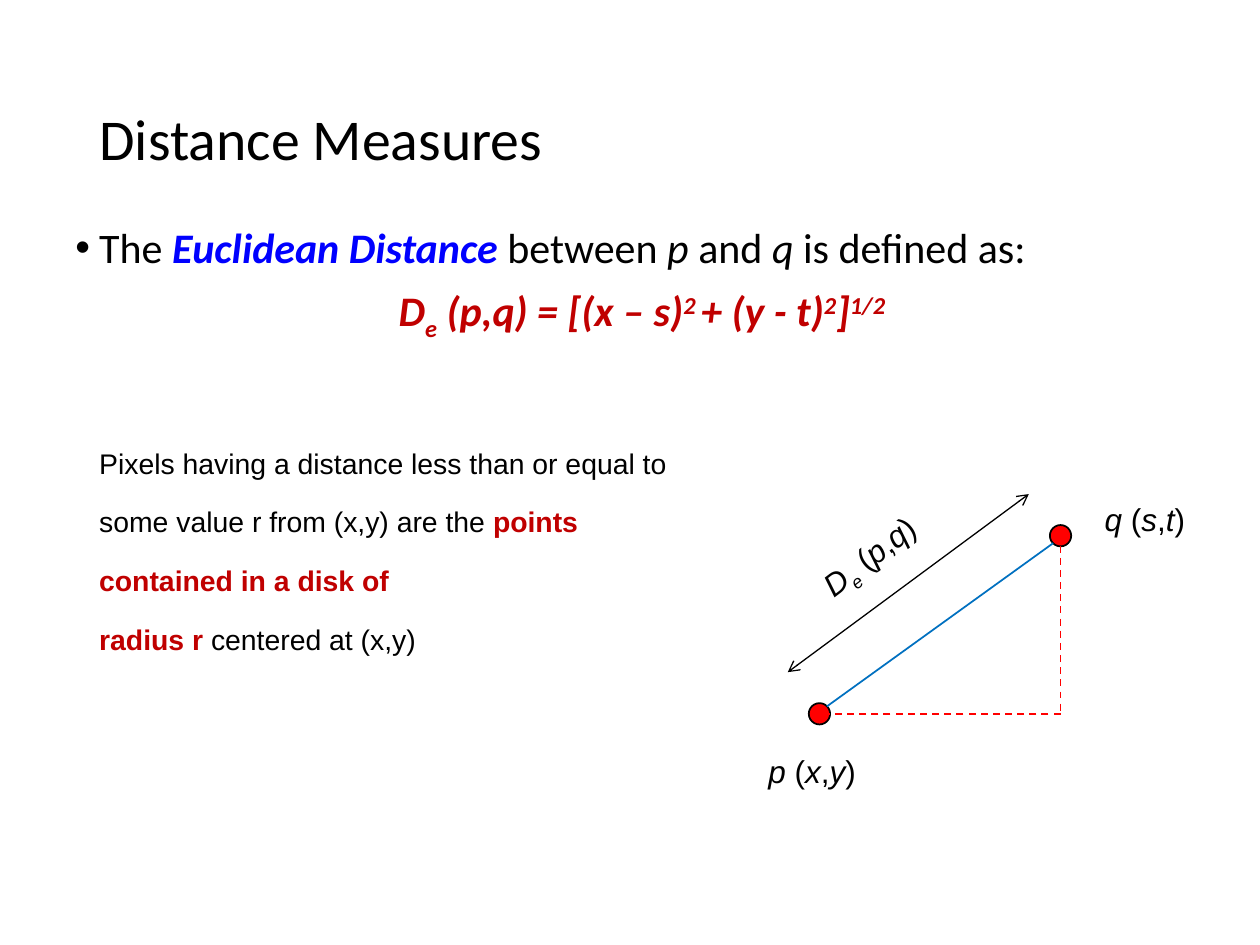
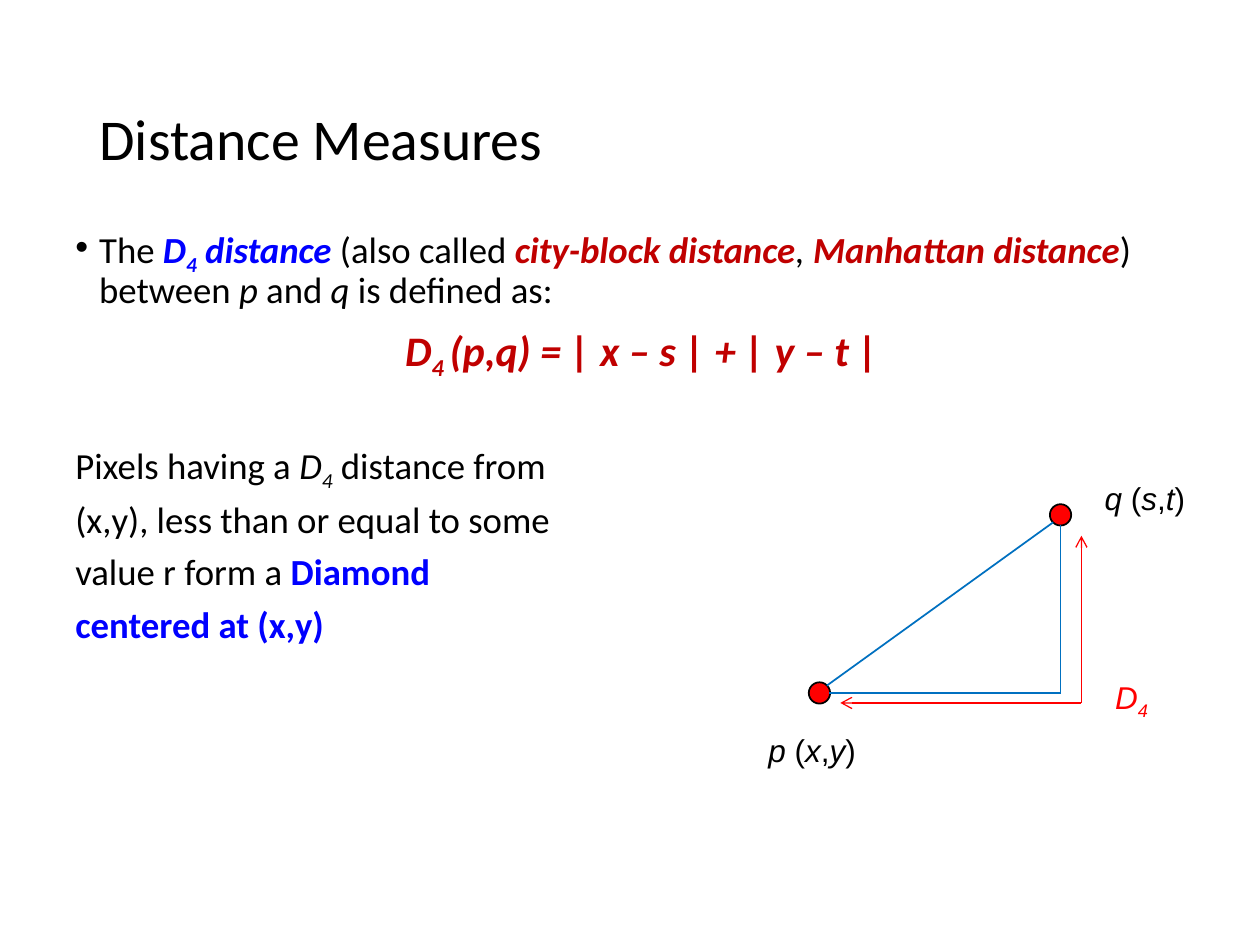
from dataclasses import dataclass

from lxml.etree import SubElement
from pptx import Presentation
from pptx.dml.color import RGBColor as Rgb
from pptx.enum.dml import MSO_LINE_DASH_STYLE as Dash
from pptx.enum.shapes import MSO_CONNECTOR as Connector, MSO_SHAPE as Shape
from pptx.enum.text import MSO_ANCHOR as Anchor, PP_ALIGN as Align
from pptx.oxml.ns import qn
from pptx.util import Cm, Pt


@dataclass(frozen=True)
class Theme:
    black: Rgb = Rgb(0x00, 0x00, 0x00)
    blue: Rgb = Rgb(0x00, 0x00, 0xFF)
    crimson: Rgb = Rgb(0xC0, 0x00, 0x00)
    red: Rgb = Rgb(0xFF, 0x00, 0x00)
    edge: Rgb = Rgb(0x00, 0x70, 0xC0)
    heading_font: str = "Calibri"
    label_font: str = "Arial"
    title_size: float = 33
    lead_size: float = 24
    body_size: float = 21
    label_size: float = 18
    remark_size: float = 28
    line_spacing: float = 0.9
    paragraph_gap: float = 7.5
    section_gap: float = 38
    hanging: float = 0.48


THEME = Theme()
BASELINES = {"_": "-25000", "^": "30000"}

# Pixel positions in cm: x is shared, q's y is set per slide
P_X, Q_X, RISE = 16.52, 21.38, 3.59
DOT = 0.43
LABEL_WIDTH, LABEL_HEIGHT = 2.74, 1.02


# Text: a run is (text, flags, colour); flags are b, i, _ (sub) and ^ (super)
def add_runs(paragraph, runs, size, font):
    for text, flags, colour in runs:
        run = paragraph.add_run()
        run.text = text
        run.font.size = Pt(size)
        run.font.name = font
        run.font.bold = "b" in flags
        run.font.italic = "i" in flags
        run.font.color.rgb = colour
        for mark, baseline in BASELINES.items():
            if mark in flags:
                run._r.get_or_add_rPr().set("baseline", baseline)


def plain(text):
    return text, "", THEME.black


def italic(text, colour=THEME.black):
    return text, "i", colour


def strong(text, colour, mark=""):
    return text, "bi" + mark, colour


def point_name(name, first, second):
    return [italic(name), plain(" ("), italic(first), plain(","),
            italic(second), plain(")")]


def add_text(slide, left, top, width, height):
    box = slide.shapes.add_textbox(Cm(left), Cm(top), Cm(width), Cm(height))
    box.text_frame.word_wrap = True
    return box


def add_label(slide, left, top, runs, width=LABEL_WIDTH):
    label = add_text(slide, left, top, width, LABEL_HEIGHT)
    add_runs(label.text_frame.paragraphs[0], runs,
             THEME.label_size, THEME.label_font)
    return label


def indent(paragraph, first_line, bullet=False):
    properties = paragraph._p.get_or_add_pPr()
    properties.set("marL", str(Cm(THEME.hanging)))
    properties.set("indent", str(Cm(first_line)))
    if bullet:
        SubElement(properties, qn("a:buFont")).set("typeface", "Arial")
        SubElement(properties, qn("a:buChar")).set("char", "•")


def add_definition(slide, statement, formula, size, remarks=()):
    """Bulleted statement, centred formula, then plain remark lines."""
    frame = add_text(slide, 1.27, 4.45, 22.86, 13.13).text_frame
    lines = [(statement, size), (formula, THEME.lead_size)]
    lines += [(remark, size) for remark in remarks]
    for number, (runs, line_size) in enumerate(lines):
        paragraph = frame.add_paragraph() if number else frame.paragraphs[0]
        paragraph.line_spacing = THEME.line_spacing
        if number:
            gap = THEME.section_gap if number == 2 else THEME.paragraph_gap
            paragraph.space_before = Pt(gap)
        if number == 0:
            indent(paragraph, -THEME.hanging, bullet=True)
        elif number == 1:
            paragraph.alignment = Align.CENTER
            indent(paragraph, 0)
        add_runs(paragraph, runs, line_size, THEME.heading_font)


def add_titled_slide(deck):
    slide = deck.slides.add_slide(deck.slide_layouts[5])
    title = slide.shapes.title
    title.left, title.top = Cm(1.75), Cm(1.02)
    title.width, title.height = Cm(21.9), Cm(3.68)
    title.text_frame.text = "Distance Measures"
    title.text_frame.vertical_anchor = Anchor.MIDDLE
    heading = title.text_frame.paragraphs[0]
    heading.alignment = Align.LEFT
    heading.line_spacing = THEME.line_spacing
    font = heading.runs[0].font
    font.size, font.name = Pt(THEME.title_size), THEME.heading_font
    font.color.rgb = THEME.black
    return slide


# Diagram parts
def add_line(slide, start, end, colour, width=1, dash=None, arrows=()):
    line = slide.shapes.add_connector(
        Connector.STRAIGHT, *(Cm(value) for value in (*start, *end)))
    line.line.color.rgb = colour
    line.line.width = Pt(width)
    if dash:
        line.line.dash_style = dash
    outline = line.line._get_or_add_ln()
    for arrow in arrows:
        SubElement(outline, qn(f"a:{arrow}")).set("type", "arrow")
    SubElement(line._element.spPr, qn("a:effectLst"))


def add_dot(slide, x, y):
    dot = slide.shapes.add_shape(Shape.OVAL, Cm(x - DOT / 2), Cm(y - DOT / 2),
                                 Cm(DOT), Cm(DOT))
    dot.shadow.inherit = False
    dot.fill.solid()
    dot.fill.fore_color.rgb = THEME.red
    dot.line.color.rgb = THEME.black
    dot.line.width = Pt(1)


def add_triangle(slide, q_y, leg_colour, leg_dash=None):
    """Pixels p and q, the line between them and the two legs."""
    p_y = q_y + RISE
    add_dot(slide, P_X, p_y)
    add_dot(slide, Q_X, q_y)
    add_line(slide, (P_X + 0.15, p_y - 0.15), (Q_X - 0.15, q_y + 0.15),
             THEME.edge)
    corner = (Q_X, p_y)
    add_line(slide, (Q_X, q_y + 0.2), corner, leg_colour, dash=leg_dash)
    add_line(slide, corner, (P_X + 0.2, p_y), leg_colour, dash=leg_dash)
    add_label(slide, P_X - 1.28, p_y + 0.64, point_name("p", "x", "y"))
    add_label(slide, Q_X + 0.64, q_y - 0.84, point_name("q", "s", "t"))
    return p_y


def build_euclidean(deck):
    slide = add_titled_slide(deck)
    red = THEME.crimson
    add_definition(
        slide,
        [plain("The "), strong("Euclidean Distance ", THEME.blue),
         plain("between "), italic("p"), plain(" and "), italic("q"),
         plain(" is defined as:")],
        [strong("D", red), strong("e", red, "_"),
         strong(" (p,q) = [(x – s)", red), strong("2 ", red, "^"),
         strong("+ (y - t)", red), strong("2", red, "^"),
         strong("]", red), strong("1/2", red, "^")],
        THEME.lead_size)

    # Distance arrow beside the hypotenuse
    q_y = 10.8
    p_y = add_triangle(slide, q_y, THEME.red, Dash.DASH)
    add_line(slide, (P_X - 0.64, p_y - 0.84), (Q_X - 0.64, q_y - 0.84),
             THEME.black, 0.75, arrows=("headEnd", "tailEnd"))
    distance = add_label(
        slide, Q_X - 5.2, q_y - 0.13,
        [italic("D"), ("e", "i_", THEME.black), plain(" ("), italic("p"),
         plain(","), italic("q"), plain(")")])
    distance.rotation = 322.6

    # Disk remark, set in raised type
    disk = add_text(slide, 1.75, 8.74, 12.7, 3.45).text_frame
    remark = [
        [("Pixels having a distance less than or equal to some value r "
          "from (x,y) are the ", "^", THEME.black),
         ("points contained in a disk of", "b^", red)],
        [("radius r ", "b^", red), ("centered at (x,y)", "^", THEME.black)],
    ]
    for paragraph, runs in zip((disk.paragraphs[0], disk.add_paragraph()),
                               remark):
        add_runs(paragraph, runs, THEME.remark_size, THEME.label_font)


def build_city_block(deck):
    slide = add_titled_slide(deck)
    blue, red = THEME.blue, THEME.crimson
    add_definition(
        slide,
        [plain("The "), strong("D", blue), strong("4", blue, "_"),
         strong(" distance ", blue), plain("(also called "),
         strong("city-block distance", red), italic(", "),
         strong("Manhattan distance", red), plain(") between "),
         italic("p"), plain(" and "), italic("q"),
         plain(" is defined as:")],
        [strong("D", red), strong("4 ", red, "_"),
         strong("(p,q) = | x – s | + | y – t |", red)],
        THEME.body_size,
        [[plain("Pixels having a "), italic("D"), ("4", "i_", THEME.black),
          plain(" distance from")],
         [plain("(x,y), less than or equal to some")],
         [plain("value r form a "), ("Diamond", "b", blue)],
         [("centered at (x,y)", "b", blue)]])

    # Arrows along both legs
    q_y = 10.38
    p_y = add_triangle(slide, q_y, THEME.edge)
    corner = (Q_X + 0.42, p_y + 0.2)
    for tip in ((corner[0], q_y + 0.42), (P_X + 0.42, corner[1])):
        add_line(slide, corner, tip, THEME.red, 0.75, arrows=("tailEnd",))
    add_label(slide, Q_X + 0.85, p_y - 0.43,
              [italic("D", THEME.red), ("4", "i_", THEME.red)], width=1.7)


def main():
    deck = Presentation()
    deck.slide_width, deck.slide_height = Cm(25.4), Cm(19.05)
    build_euclidean(deck)
    build_city_block(deck)
    deck.save("out.pptx")


if __name__ == "__main__":
    main()
